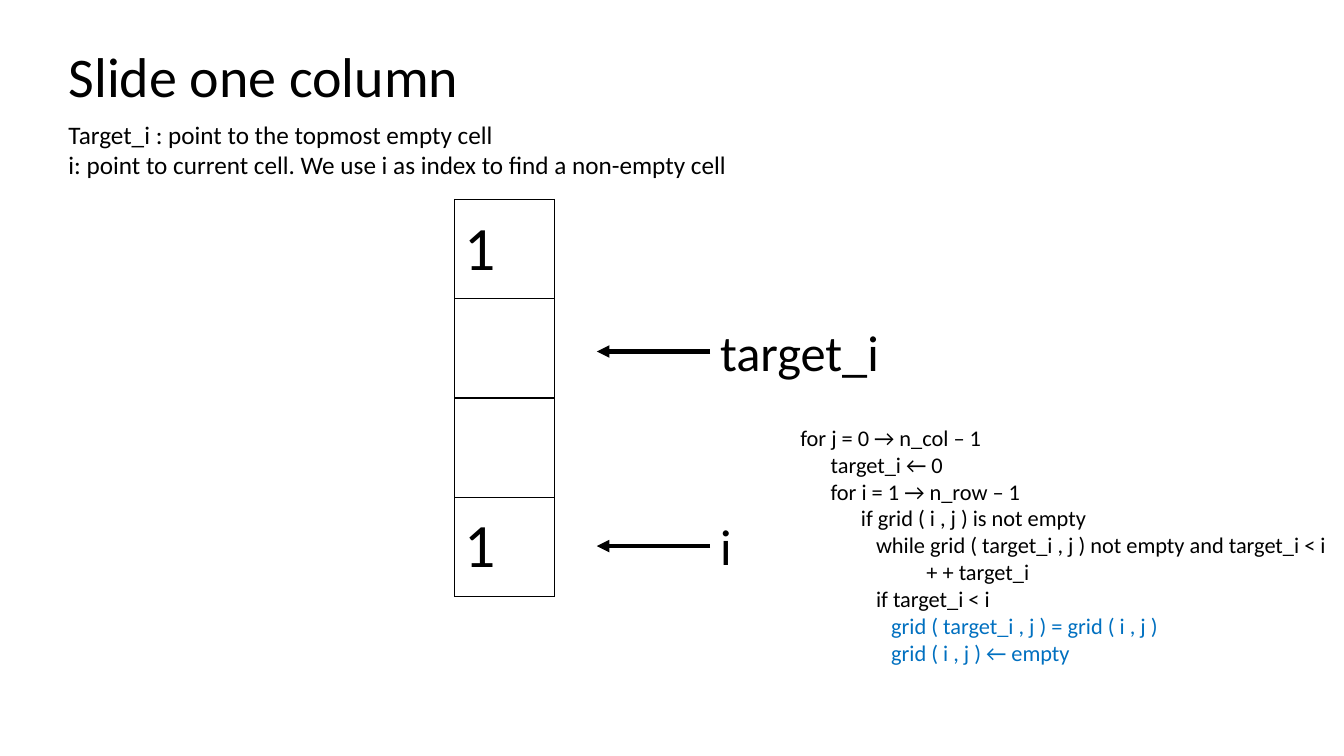
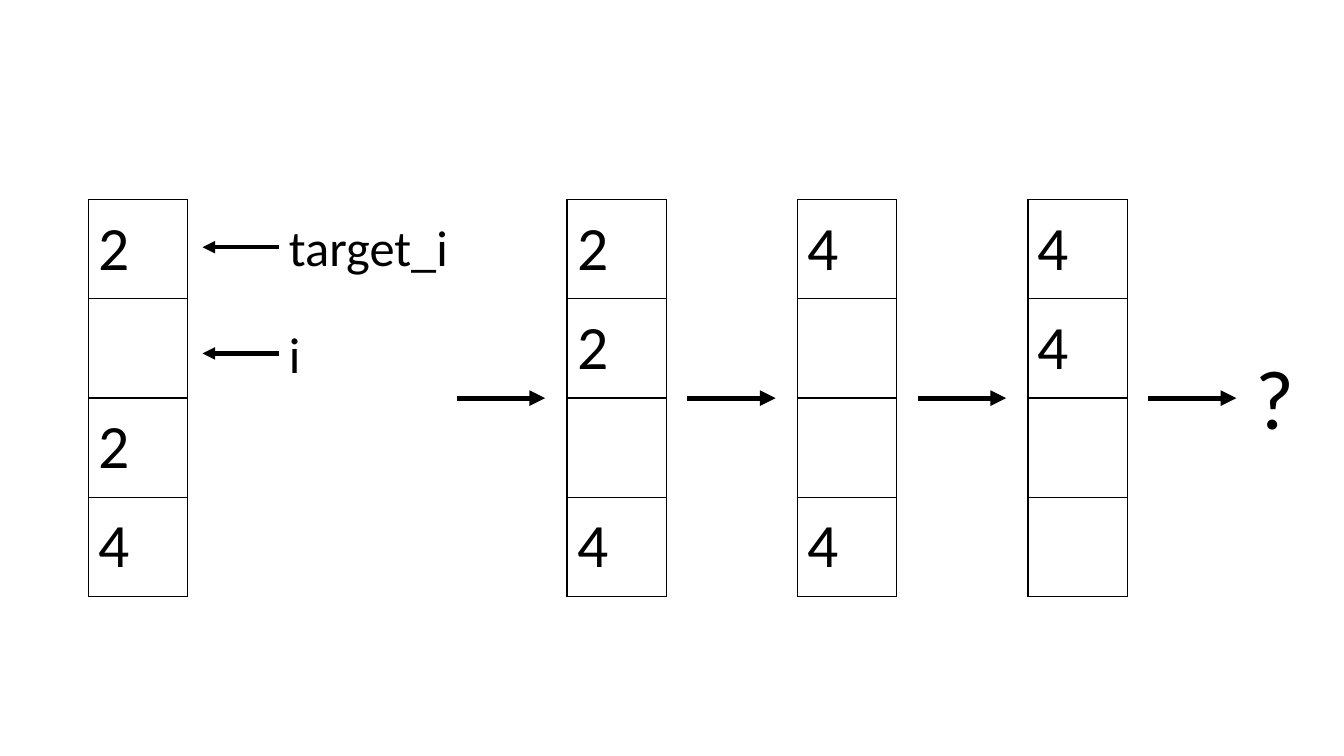
"""Builds two slides that show how the cells of one grid column slide and merge."""
from lxml import etree
from pptx import Presentation
from pptx import util as u
from pptx.dml.color import RGBColor
from pptx.enum import shapes, text
from pptx.oxml.ns import qn

BLACK = RGBColor(0, 0, 0)
WHITE = RGBColor(255, 255, 255)
BLUE = RGBColor(0x00, 0x70, 0xC0)
FONT = "Calibri"
CELL = 0.985
STACK_TOP = 2.01
INDENT = 0.05

NOTES = [
    "Target_i : point to the topmost empty cell",
    "i: point to current cell. We use i as index to find a non-empty cell",
]
CODE = [
    (0, "for j = 0 → n_col – 1", BLACK),
    (6, "target_i ← 0", BLACK),
    (6, "for i = 1 → n_row – 1", BLACK),
    (12, "if grid ( i , j ) is not empty", BLACK),
    (15, "while grid ( target_i , j ) not empty and target_i < i", BLACK),
    (25, "+ + target_i", BLACK),
    (15, "if target_i < i", BLACK),
    (18, "grid ( target_i , j ) = grid ( i , j )", BLUE),
    (18, "grid ( i , j ) ← empty", BLUE),
]
STAGES = [["2", "2", "", "4"], ["4", "", "", "4"], ["4", "4", "", ""]]


def grid(cells):
    return u.Inches(cells * CELL)


class Deck:
    def __init__(self):
        self.presentation = Presentation()
        self.presentation.slide_width = u.Inches(13.33)
        self.presentation.slide_height = u.Inches(7.5)
        self.slide = None

    def new_slide(self):
        self.slide = self.presentation.slides.add_slide(self.presentation.slide_layouts[6])

    def style(self, paragraph, size, color=BLACK):
        paragraph.font.name = FONT
        paragraph.font.size = u.Pt(size)
        paragraph.font.color.rgb = color

    def text(self, column, row, width, height, size, lines):
        box = self.slide.shapes.add_textbox(*map(grid, (column, row, width, height)))
        frame = box.text_frame
        frame.word_wrap = True
        for index, (indent, line, color) in enumerate(lines):
            paragraph = frame.add_paragraph() if index else frame.paragraphs[0]
            paragraph.text = line
            self.style(paragraph, size, color)
            if indent:
                properties = paragraph._p.get_or_add_pPr()
                properties.set("marL", str(u.Inches(indent * INDENT)))
                properties.set("indent", "0")

    def plain(self, column, row, width, height, size, *lines):
        self.text(column, row, width, height, size, [(0, line, BLACK) for line in lines])

    def arrow(self, start, end, row, weight):
        arrow = self.slide.shapes.add_connector(
            shapes.MSO_CONNECTOR.STRAIGHT, grid(start), grid(row), grid(end), grid(row))
        arrow.line.color.rgb = BLACK
        arrow.line.width = u.Pt(weight)
        line = arrow.line._get_or_add_ln()
        etree.SubElement(line, qn("a:tailEnd"), type="triangle")
        etree.SubElement(arrow._element.spPr, qn("a:effectLst"))

    def pointer(self, column, row, length, label):
        self.arrow(column, column - length, row, 3)
        self.plain(column, row - 0.36, 4.7, 0.72, 36, label)

    def border(self, cell):
        properties = cell._tc.get_or_add_tcPr()
        for index, side in enumerate(("lnL", "lnR", "lnT", "lnB")):
            line = etree.Element(qn("a:" + side), w=str(u.Pt(1)))
            fill = etree.SubElement(line, qn("a:solidFill"))
            etree.SubElement(fill, qn("a:srgbClr"), val=str(BLACK))
            properties.insert(index, line)

    def stack(self, column, values):
        table = self.slide.shapes.add_table(
            len(values), 1, grid(column), grid(STACK_TOP), grid(1), grid(len(values))).table
        table.first_row = table.horz_banding = False
        for cell, value in zip(table.iter_cells(), values):
            cell.fill.solid()
            cell.fill.fore_color.rgb = WHITE
            cell.vertical_anchor = text.MSO_ANCHOR.MIDDLE
            self.border(cell)
            paragraph = cell.text_frame.paragraphs[0]
            paragraph.text = value
            paragraph.alignment = text.PP_ALIGN.JUSTIFY
            self.style(paragraph, 44)


def slide_one_column(deck):
    deck.new_slide()
    deck.plain(0.59, 0.37, 8, 0.78, 40, "Slide one column")
    deck.plain(0.59, 1.15, 6.97, 0.72, 18, *NOTES)
    deck.stack(4.58, ["1", "", "", "1"])
    deck.pointer(7.15, 3.54, 1.14, "target_i")
    deck.pointer(7.15, 5.5, 1.14, "i")
    deck.text(7.96, 4.22, 5.57, 2.56, 16, CODE)


def merge_stages(deck):
    first, pitch, lead, length = 5.71, 2.32, 1.11, 0.89
    deck.new_slide()
    deck.stack(0.89, ["2", "", "2", "4"])
    deck.pointer(2.81, 2.49, 0.77, "target_i")
    deck.pointer(2.81, 3.56, 0.77, "i")
    for index in range(len(STAGES) + 1):
        column = first + index * pitch
        deck.arrow(column - lead, column - lead + length, STACK_TOP + 2, 3.75)
        if index < len(STAGES):
            deck.stack(column, STAGES[index])
    deck.plain(12.54, 3.43, 0.81, 1.15, 60, "?")


def main():
    deck = Deck()
    slide_one_column(deck)
    merge_stages(deck)
    deck.presentation.save("out.pptx")


if __name__ == "__main__":
    main()
